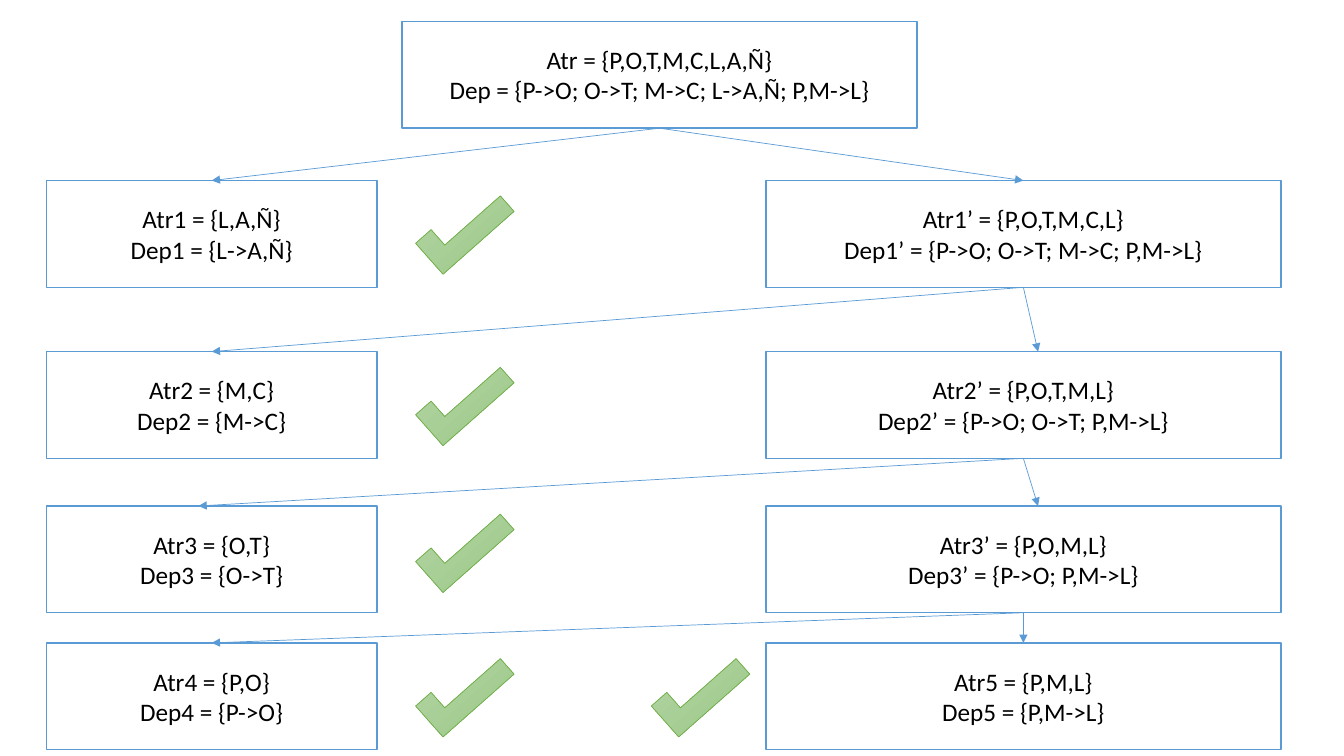
from lxml import etree
from pptx import Presentation
from pptx.dml.color import RGBColor
from pptx.enum.shapes import MSO_CONNECTOR, MSO_SHAPE
from pptx.enum.text import MSO_ANCHOR, PP_ALIGN
from pptx.oxml.ns import qn
from pptx.util import Cm, Pt

RECTANGLE, CORNER = MSO_SHAPE.RECTANGLE, MSO_SHAPE.CORNER
STRAIGHT = MSO_CONNECTOR.STRAIGHT
MIDDLE, CENTER = MSO_ANCHOR.MIDDLE, PP_ALIGN.CENTER

BLUE, GREEN, WHITE, BLACK = "5B9BD5", "70AD47", "FFFFFF", "000000"
CHECK_COLORS = ("B5D5A7", "9CC987")
FONT_FORMAT = {"name": "Calibri", "size": Pt(18)}

BOX_HEIGHT = 2.69
LEFT_X, LEFT_WIDTH = 1.17, 8.33
RIGHT_X, WIDE_WIDTH = 19.3, 12.98
ROOT_X, ROOT_Y = 10.13, 0.54
LEFT_CENTER = LEFT_X + LEFT_WIDTH / 2
RIGHT_CENTER = RIGHT_X + WIDE_WIDTH / 2
CHECK_X, LAST_CHECK_X = 10.52, 16.46

# Per row: top, check top, arrow end on the left, arrow end on the right, texts
ROWS = [
    (4.55, 5.21, LEFT_CENTER, RIGHT_CENTER,
     ("Atr1 = {L,A,Ñ}", "Dep1 = {L->A,Ñ}"),
     ("Atr1’ = {P,O,T,M,C,L}", "Dep1’ = {P->O; O->T; M->C; P,M->L}")),
    (8.86, 9.53, LEFT_CENTER, 26.16,
     ("Atr2 = {M,C}", "Dep2 = {M->C}"),
     ("Atr2’ = {P,O,T,M,L}", "Dep2’ = {P->O; O->T; P,M->L}")),
    (12.75, 13.23, 5.0, 26.16,
     ("Atr3 = {O,T}", "Dep3 = {O->T}"),
     ("Atr3’ = {P,O,M,L}", "Dep3’ = {P->O; P,M->L}")),
    (16.2, 16.87, LEFT_CENTER, RIGHT_CENTER,
     ("Atr4 = {P,O}", "Dep4 = {P->O}"),
     ("Atr5 = {P,M,L}", "Dep5 = {P,M->L}")),
]


def rgb(color):
    """Turn a hex string into a colour."""
    return RGBColor.from_string(color)


def add_box(left, top, width, lines):
    """Add an outlined box with one centred paragraph per line."""
    box = slide.shapes.add_shape(
        RECTANGLE, Cm(left), Cm(top), Cm(width), Cm(BOX_HEIGHT))
    box.shadow.inherit = False
    box.fill.solid()
    box.fill.fore_color.rgb = rgb(WHITE)
    box.line.color.rgb = rgb(BLUE)
    box.line.width = Pt(1)
    box.text_frame.word_wrap = True
    box.text_frame.vertical_anchor = MIDDLE
    box.text_frame.text = "\n".join(lines)
    for paragraph in box.text_frame.paragraphs:
        paragraph.alignment = CENTER
        for name, value in FONT_FORMAT.items():
            setattr(paragraph.font, name, value)
        paragraph.font.color.rgb = rgb(BLACK)


presentation = Presentation()
presentation.slide_width = Cm(33.87)
presentation.slide_height = Cm(19.05)
slide = presentation.slides.add_slide(presentation.slide_layouts[6])

# Boxes of the decomposition tree
add_box(ROOT_X, ROOT_Y, WIDE_WIDTH,
        ("Atr = {P,O,T,M,C,L,A,Ñ}",
         "Dep = {P->O; O->T; M->C; L->A,Ñ; P,M->L}"))
for top, _, _, _, left_lines, right_lines in ROWS:
    add_box(LEFT_X, top, LEFT_WIDTH, left_lines)
    add_box(RIGHT_X, top, WIDE_WIDTH, right_lines)

# Arrows from each parent to its two children
parent_x, parent_bottom = ROOT_X + WIDE_WIDTH / 2, ROOT_Y + BOX_HEIGHT
for top, _, left_end, right_end, _, _ in ROWS:
    for end_x in (left_end, right_end):
        arrow = slide.shapes.add_connector(
            STRAIGHT, Cm(parent_x), Cm(parent_bottom), Cm(end_x), Cm(top))
        arrow.line.color.rgb = rgb(BLUE)
        arrow.line.width = Pt(0.5)
        properties = arrow._element.spPr
        etree.SubElement(properties.find(qn("a:ln")), qn("a:tailEnd"), type="triangle")
        etree.SubElement(properties, qn("a:effectLst"))
    parent_x, parent_bottom = RIGHT_CENTER, top + BOX_HEIGHT

# Check marks beside the finished relations
checks = [(CHECK_X, row[1]) for row in ROWS] + [(LAST_CHECK_X, ROWS[-1][1])]
for left, top in checks:
    check = slide.shapes.add_shape(CORNER, Cm(left), Cm(top), Cm(2.39), Cm(1.04))
    check.rotation = 318.5
    check.shadow.inherit = False
    check.fill.gradient()
    check.fill.gradient_angle = 270
    for stop, color in zip(check.fill.gradient_stops, CHECK_COLORS):
        stop.color.rgb = rgb(color)
    check.line.color.rgb = rgb(GREEN)
    check.line.width = Pt(0.5)

presentation.save("out.pptx")
